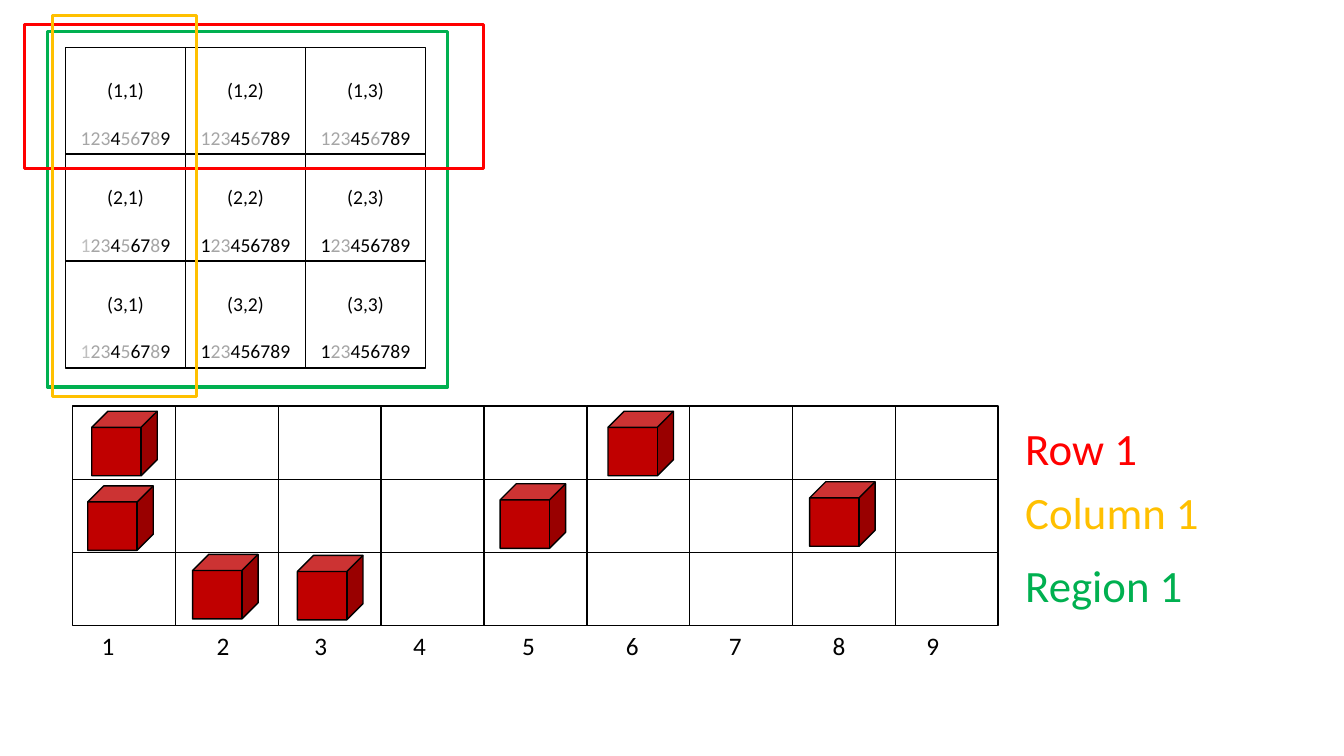
from itertools import groupby, product

from lxml.etree import SubElement
from pptx import Presentation
from pptx.dml.color import RGBColor
from pptx.enum.shapes import MSO_SHAPE as Shape
from pptx.enum.text import MSO_ANCHOR as Anchor, PP_ALIGN as Align
from pptx.oxml.ns import qn
from pptx.util import Inches, Pt

BLACK, WHITE, GREY, PALE = "000000", "FFFFFF", "A6A6A6", "BFBFBF"
RED, GOLD, GREEN, CUBE_RED = "FF0000", "FFC000", "00B050", "C00000"


def rgb(hex_code):
    return RGBColor.from_string(hex_code)


class Board:
    """Draws the candidate grid and its constraint strip on one slide."""

    def __init__(self, slide, font="Calibri"):
        self.slide = slide
        self.font = font

    def style(self, paragraph, size, color=BLACK):
        paragraph.font.name = self.font
        paragraph.font.size = Pt(size)
        paragraph.font.color.rgb = rgb(color)

    def block(self, box, kind=Shape.RECTANGLE, fill=WHITE, line=BLACK, width=1):
        block = self.slide.shapes.add_shape(kind, *map(Inches, box))
        block.shadow.inherit = False
        if fill:
            block.fill.solid()
            block.fill.fore_color.rgb = rgb(fill)
        else:
            block.fill.background()
        block.line.color.rgb = rgb(line)
        block.line.width = Pt(width)
        return block

    def frame(self, box, color):
        return self.block(box, fill=None, line=color, width=2.25)

    def cube(self, left, top):
        return self.block((left, top, 0.65, 0.64), Shape.CUBE, CUBE_RED)

    def candidates(self, box, position, ruled_out, pale):
        text = self.block(box).text_frame
        text.word_wrap = True
        text.vertical_anchor = Anchor.BOTTOM
        heading, digits = text.paragraphs[0], text.add_paragraph()
        heading.text = position
        digits.space_before = Pt(17)
        for paragraph in (heading, digits):
            paragraph.alignment = Align.CENTER
            self.style(paragraph, 14)

        def shade(digit):
            return PALE if digit in pale else GREY if digit in ruled_out else BLACK

        for color, group in groupby("123456789", shade):
            run = digits.add_run()
            run.text = "".join(group)
            run.font.color.rgb = rgb(color)

    def label(self, box, words, size, color=BLACK, wrap=False, stops=()):
        text = self.slide.shapes.add_textbox(*map(Inches, box)).text_frame
        text.word_wrap = wrap
        paragraph = text.paragraphs[0]
        paragraph.text = words
        self.style(paragraph, size, color)
        if stops:
            tabs = SubElement(paragraph._p.get_or_add_pPr(), qn("a:tabLst"))
            paragraph._p.pPr.insert(0, tabs)
            for stop in stops:
                SubElement(tabs, qn("a:tab"), pos=str(Inches(stop)), algn="l")


deck = Presentation()
deck.slide_width, deck.slide_height = Inches(13.33), Inches(7.5)
board = Board(deck.slides.add_slide(deck.slide_layouts[6]))

RULED_OUT = [
    ["123568", "1236", "1236"],
    ["12358", "23", "23"],
    ["12358", "23", "23"],
]
for row, col in product(range(3), repeat=2):
    cell = (0.65 + 1.19 * col, 0.47 + 1.06 * row, 1.19, 1.06)
    pale_digits = "1" if row and not col else ""
    board.candidates(cell, f"({row + 1},{col + 1})", RULED_OUT[row][col], pale_digits)

for row, col in product(range(3), range(9)):
    board.block((0.72 + 1.02 * col, 4.03 + 0.725 * row, 1.02, 0.725))

digit_stops = [1.14, 2.11, 3.09, 4.17, 5.2, 6.22, 7.25, 8.18]
board.label((0.91, 6.2, 8.81, 0.4), "\t".join("123456789"), 18, wrap=True, stops=digit_stops)

constraints = [
    ("Row 1", RED, 4.12, 1.32),
    ("Column 1", GOLD, 4.76, 1.94),
    ("Region 1", GREEN, 5.48, 1.78),
]
for constraint, color, top, width in constraints:
    board.label((10.07, top, width, 0.64), constraint, 32, color)

cube_spots = [
    (0.91, 4.08), (6.03, 4.08),
    (0.87, 4.82), (4.96, 4.8), (8.03, 4.78),
    (1.91, 5.5), (2.95, 5.51),
]
for left, top in cube_spots:
    board.cube(left, top)

board.frame((0.47, 0.31, 3.97, 3.53), GREEN)
board.frame((0.24, 0.24, 4.56, 1.43), RED)
board.frame((0.52, 0.15, 1.43, 3.78), GOLD)

deck.save("out.pptx")
